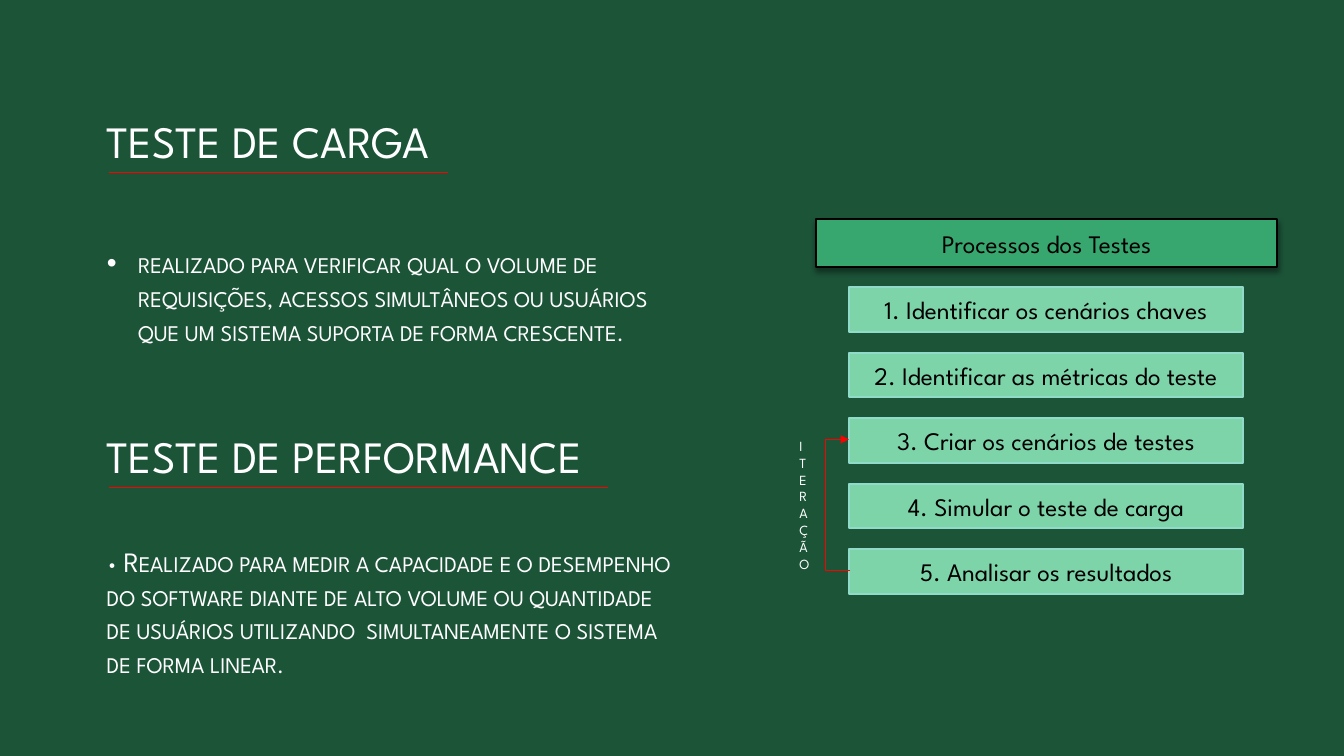
from dataclasses import dataclass

from pptx import Presentation
from pptx import util as u
from pptx.dml.color import RGBColor
from pptx.enum import shapes, text
from pptx.oxml import parse_xml
from pptx.oxml.ns import nsdecls

IN = u.Inches
LEFT, MID = text.PP_ALIGN.LEFT, text.PP_ALIGN.CENTER
LOW, HALF, TOP = (text.MSO_ANCHOR.BOTTOM, text.MSO_ANCHOR.MIDDLE,
                  text.MSO_ANCHOR.TOP)


@dataclass(frozen=True)
class Theme:
    font: str = "League Spartan"
    back: str = "1C5438"
    white: str = "FFFFFF"
    black: str = "000000"
    red: str = "FF0000"
    head: str = "37A76F"
    step: str = "7DD4A9"
    edge: str = "8FDAC8"
    title_fade: tuple = ("FFFFFF", "A6A6A6")
    body_fade: tuple = ("FFFFFF", "BFBFBF")
    title_size: int = 32
    body_size: int = 20
    box_size: int = 18
    note_size: int = 10


def rgb(code):
    return RGBColor.from_string(code)


def node(xml):
    """Parse one drawing element, given without its namespace."""
    name, rest = xml[1:].split(" ", 1)
    return parse_xml(f"<{name} {nsdecls('a')} {rest}")


def write(shape, words, font, size, color=None, fade=None, align=LEFT,
          anchor=TOP, before=0, after=0, small=False):
    """Fill a shape with one paragraph; fade is a pair of gradient colours."""
    frame = shape.text_frame
    frame.word_wrap = True
    frame.auto_size = text.MSO_AUTO_SIZE.NONE
    frame.vertical_anchor = anchor
    par = frame.paragraphs[0]
    par.alignment = align
    par.space_before, par.space_after = u.Pt(before), u.Pt(after)
    run = par.add_run()
    run.text = words
    run.font.name, run.font.size = font, u.Pt(size)
    if fade:
        run.font.fill.gradient()
        run.font.fill.gradient_angle = 267
        for stop, code in zip(run.font.fill.gradient_stops, fade):
            stop.color.rgb = rgb(code)
    else:
        run.font.color.rgb = rgb(color)
    if small:
        run.font._element.set("cap", "small")
    return par


class Deck:
    def __init__(self, theme):
        self.theme = theme
        self.file = Presentation()
        self.file.slide_width, self.file.slide_height = IN(13.33), IN(7.5)
        self.slide = self.file.slides.add_slide(self.file.slide_layouts[1])
        self.items = self.slide.shapes
        fill = self.slide.background.fill
        fill.solid()
        fill.fore_color.rgb = rgb(theme.back)

    def place(self, area, holder=None):
        """Move a placeholder to the area, or add a text box there."""
        if holder is None:
            return self.items.add_textbox(*map(IN, area))
        holder.left, holder.top, holder.width, holder.height = map(IN, area)
        return holder

    def title(self, words, area, holder=None):
        t = self.theme
        write(self.place(area, holder), words, t.font, t.title_size,
              fade=t.title_fade, anchor=LOW)

    def body(self, words, area, holder=None):
        t = self.theme
        par = write(self.place(area, holder), words, t.font, t.body_size,
                    fade=t.body_fade, anchor=HALF, before=4, after=6,
                    small=True)
        if holder is not None:
            props = par._p.get_or_add_pPr()
            props.set("marL", str(IN(0.31)))
            props.set("indent", str(-IN(0.31)))
            props.append(node(f'<a:buClr ><a:srgbClr val="{t.white}"/></a:buClr>'))
            props.append(node('<a:buFont typeface="Arial"/>'))
            props.append(node('<a:buChar char="•"/>'))

    def note(self, words, area):
        t = self.theme
        write(self.place(area), words, t.font, t.note_size, color=t.white)

    def box(self, words, area, fill, edge, shade=False):
        t = self.theme
        box = self.items.add_shape(shapes.MSO_SHAPE.RECTANGLE, *map(IN, area))
        box.shadow.inherit = False
        box.fill.solid()
        box.fill.fore_color.rgb = rgb(fill)
        box.line.color.rgb = rgb(edge)
        box.line.width = u.Pt(1.5)
        if shade:
            box._element.spPr.find(".//{*}effectLst").append(node(
                f'<a:outerShdw blurRad="{u.Pt(4)}" dist="{u.Pt(3)}" '
                'dir="5400000" rotWithShape="0">'
                f'<a:srgbClr val="{t.black}"><a:alpha val="40000"/></a:srgbClr>'
                '</a:outerShdw>'))
        write(box, words, t.font, t.box_size, color=t.black, align=MID,
              anchor=HALF)

    def line(self, start, end, kind=shapes.MSO_CONNECTOR.STRAIGHT):
        line = self.items.add_connector(kind, *map(IN, start + end))
        line.line.color.rgb = rgb(self.theme.red)
        line.line.width = u.Pt(0.75)
        line._element.spPr.append(node("<a:effectLst />"))
        return line

    def loop(self, start, end, bend):
        """Bent arrow; bend is its reach as a multiple of its width."""
        loop = self.line(start, end, shapes.MSO_CONNECTOR.ELBOW)
        props = loop._element.spPr
        props.find(".//{*}avLst").append(
            node(f'<a:gd name="adj1" fmla="val {bend * 100000}"/>'))
        props.find("{*}ln").append(node('<a:tailEnd type="triangle"/>'))


def main():
    theme = Theme()
    deck = Deck(theme)
    left, wide = 0.96, 5.83
    head, list_ = deck.slide.placeholders

    deck.title("TESTE DE CARGA", (left, 0.75, 4.13, 0.96), head)
    deck.body("realizado para verificar qual o volume de requisições, acessos "
              "simultâneos ou usuários que um sistema suporta de forma "
              "crescente.", (left, 1.94, wide, 2), list_)
    deck.line((1.08, 1.71), (4.44, 1.71))

    deck.box("Processos dos Testes", (8.09, 2.17, 4.58, 0.48),
             theme.head, theme.black, shade=True)
    steps = ("Identificar os cenários chaves", "Identificar as métricas do teste",
             "Criar os cenários de testes", "Simular o teste de carga",
             "Analisar os resultados")
    for i, step in enumerate(steps):
        deck.box(f"{i + 1}. {step}", (8.42, 2.85 + 0.65 * i, 3.91, 0.44),
                 theme.step, theme.edge)
    deck.loop((8.43, 5.66), (8.42, 4.36), 25)
    deck.note("I TERAÇÃO", (7.83, 4.29, 0.32, 1.45))

    deck.title("TESTE DE PERFORMANCE", (left, 3.88, 5.97, 0.96))
    deck.body("• Realizado para medir a capacidade e o desempenho do software "
              "diante de alto volume ou quantidade de usuários utilizando  "
              "simultaneamente o sistema de forma linear.",
              (left, 5.07, wide, 2))
    deck.line((1.08, 4.84), (6.03, 4.84))
    deck.file.save("out.pptx")


if __name__ == "__main__":
    main()
